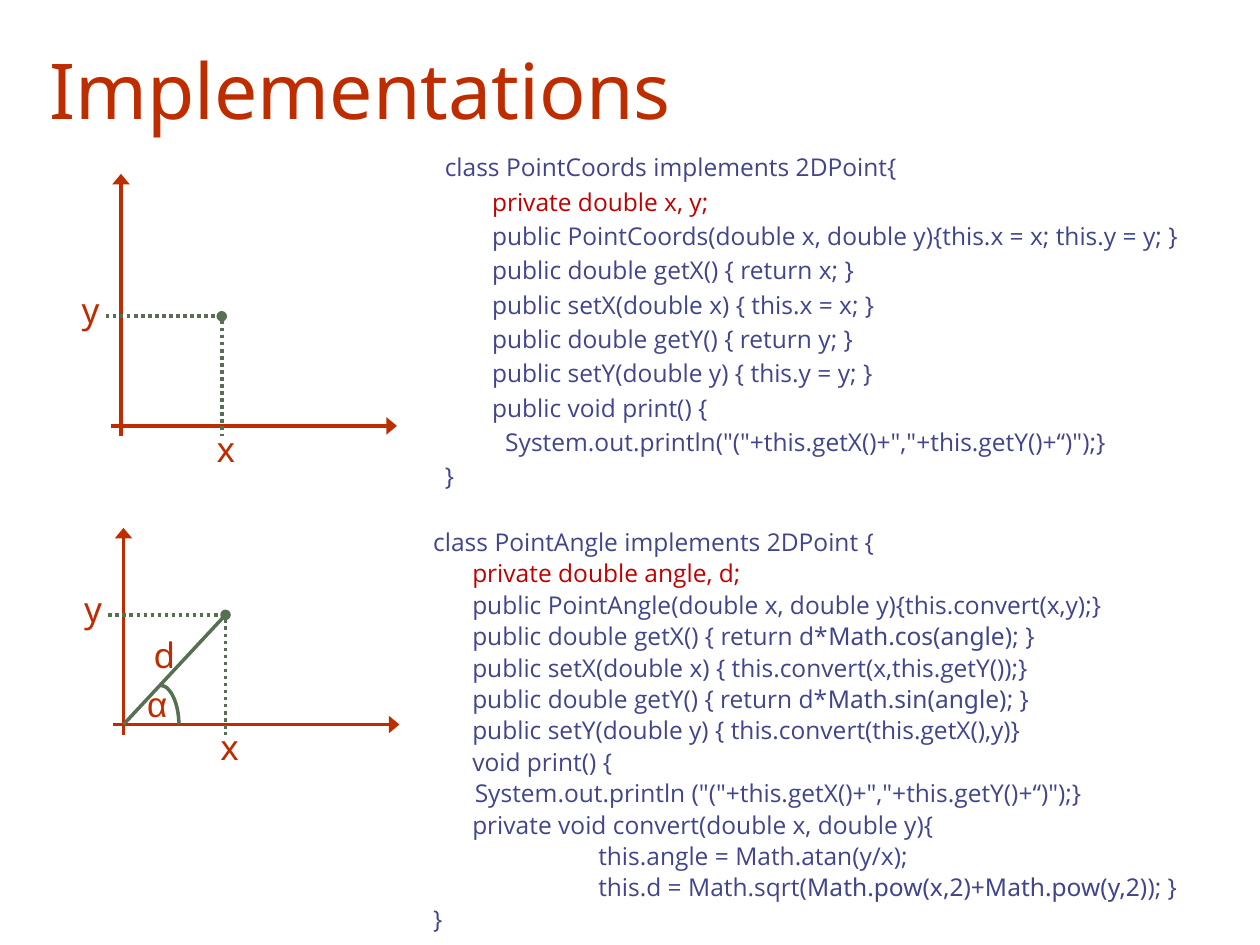
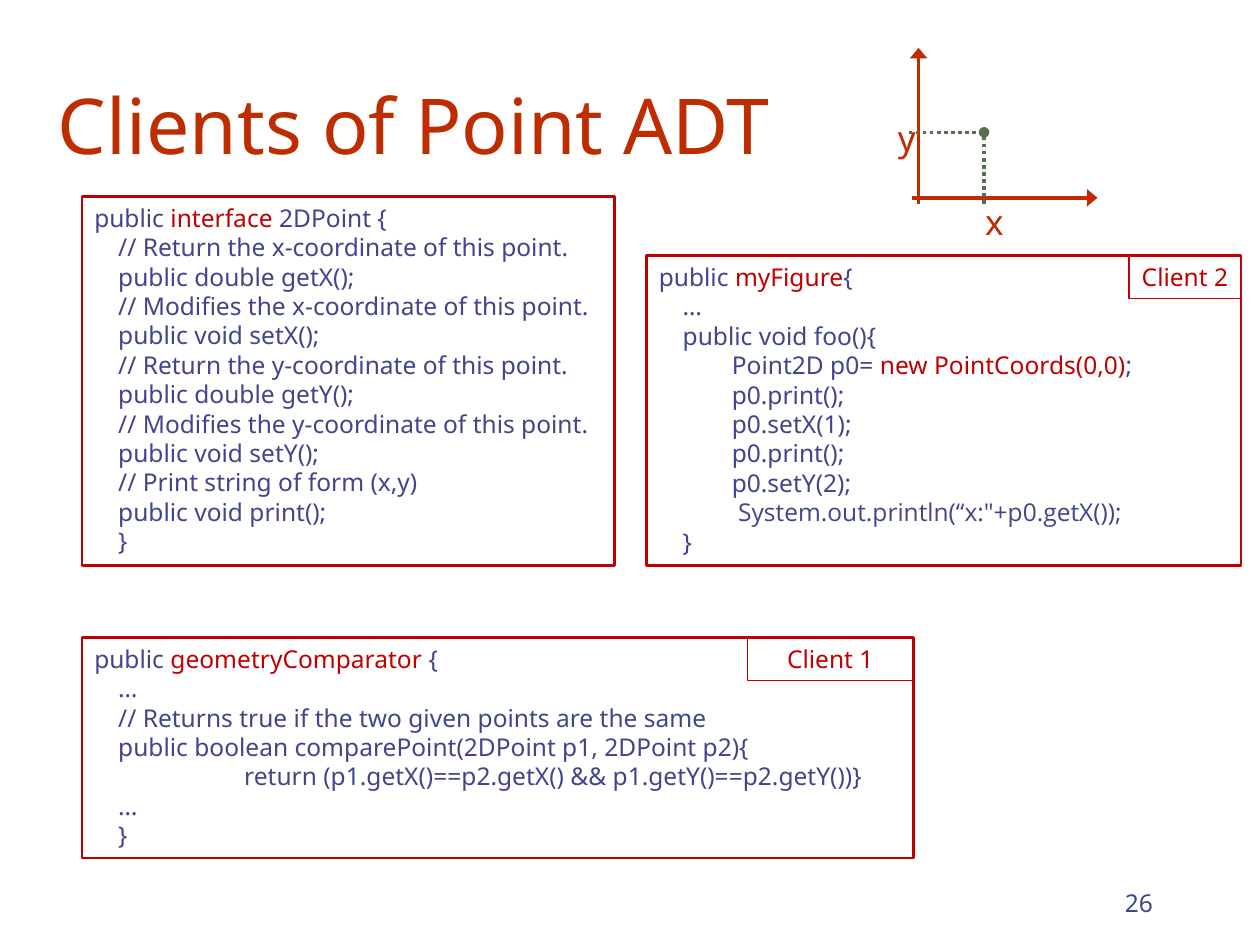
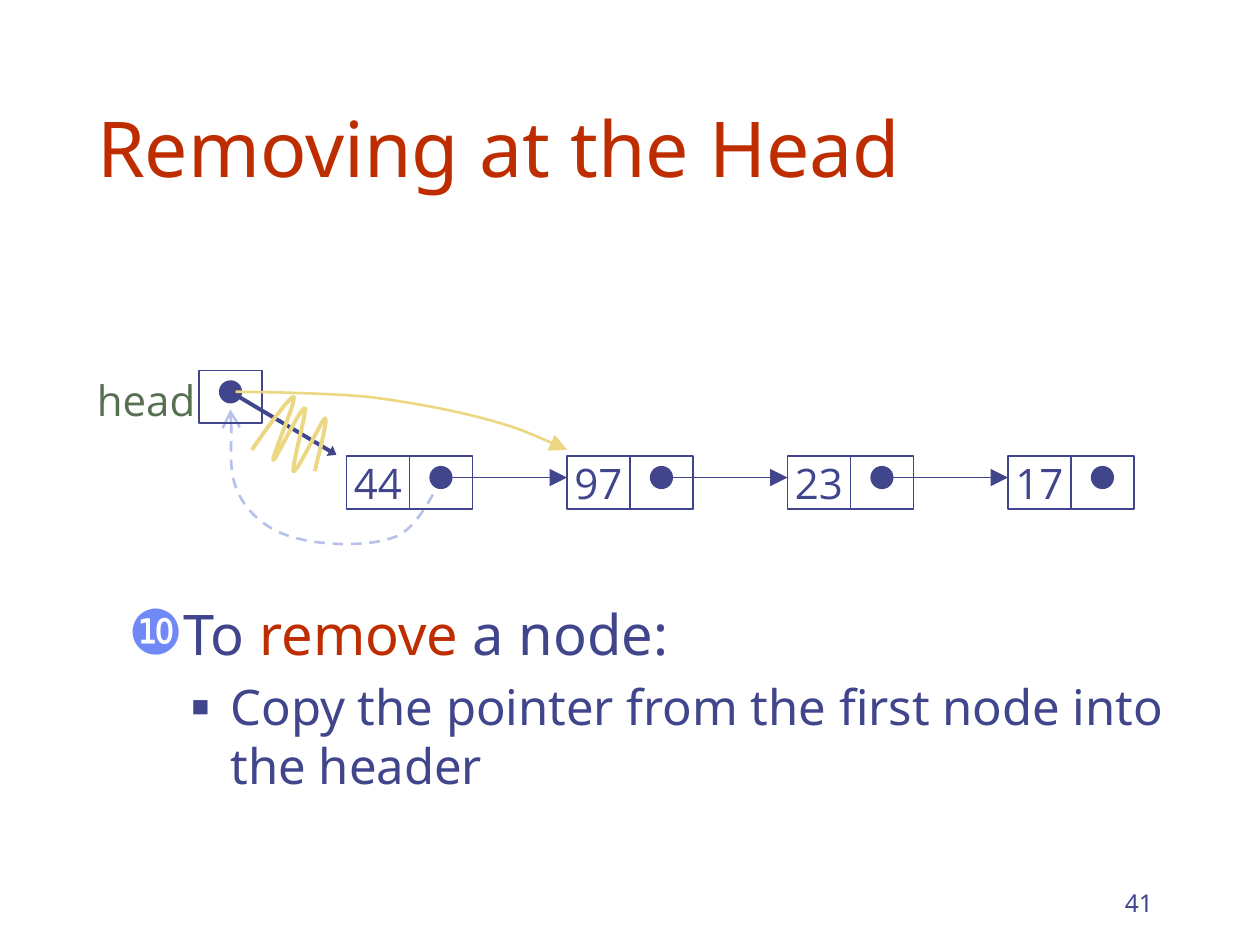
from dataclasses import dataclass

from pptx import Presentation
from pptx.dml.color import RGBColor
from pptx.enum import dml, shapes, text
from pptx.oxml import ns, xmlchemy
from pptx import util as u


@dataclass(frozen=True)
class Theme:
    title: str = "BE2D00"
    ink: str = "40458C"
    accent: str = "C00000"
    green: str = "577052"
    bullet: str = "6F89F7"
    pale: str = "B7C1EB"
    yellow: str = "ECD882"
    font: str = "Noto Sans"
    code_font: str = "Open Sans"
    symbol_font: str = "Arial"
    title_size: int = 44
    list_size: int = 32
    sublist_size: int = 28
    node_size: int = 24
    label_size: int = 20
    code_size: int = 14
    thin: float = 0.75
    fine: float = 1
    medium: float = 1.5
    thick: float = 2
    bold: float = 2.25


THEME = Theme()
COLUMNS, ROWS = 10, 7.5
WIDTH, HEIGHT = u.Inches(10), u.Inches(7.5)
LEFT, CENTER, RIGHT = text.PP_ALIGN.LEFT, text.PP_ALIGN.CENTER, text.PP_ALIGN.RIGHT
TOP, MIDDLE, BOTTOM = (
    text.MSO_ANCHOR.TOP, text.MSO_ANCHOR.MIDDLE, text.MSO_ANCHOR.BOTTOM)
DOTTED, DASHED = dml.MSO_LINE.ROUND_DOT, dml.MSO_LINE.DASH
RECTANGLE, OVAL = shapes.MSO_SHAPE.RECTANGLE, shapes.MSO_SHAPE.OVAL
WIDE_ARROW = {"type": "triangle", "w": "lg", "len": "med"}
LARGE_ARROW = {"type": "triangle", "w": "lg", "len": "lg"}
SHORT_ARROW = {"type": "triangle", "w": "med", "len": "sm"}
OPEN_ARROW = {"type": "arrow", "w": "lg", "len": "lg"}
DOT = {"type": "oval"}


def across(columns):
    return u.Emu(round(columns * WIDTH / COLUMNS))


def down(rows):
    return u.Emu(round(rows * HEIGHT / ROWS))


def frame(box):
    left, top, width, height = box
    return across(left), down(top), across(width), down(height)


def rgb(color):
    return RGBColor.from_string(color)


def accent(words):
    return words, {"color": THEME.accent}


def noto(words):
    return words, {"font": THEME.font}


def add_element(parent, tag, **attributes):
    element = xmlchemy.OxmlElement(tag)
    for name, value in attributes.items():
        element.set(name, str(value))
    parent.append(element)
    return element


def write(shape, lines, *, font=THEME.font, size=THEME.code_size, color=THEME.ink,
          align=LEFT, anchor=TOP, margins=(0.1, 0.05), before=0, spacing=None):
    """Each line is a left indent followed by its runs."""
    text_frame = shape.text_frame
    text_frame.auto_size = text.MSO_AUTO_SIZE.NONE
    text_frame.word_wrap = True
    text_frame.vertical_anchor = anchor
    text_frame.margin_left = text_frame.margin_right = u.Inches(margins[0])
    text_frame.margin_top = text_frame.margin_bottom = u.Inches(margins[1])
    for number, (indent, *runs) in enumerate(lines):
        paragraph = text_frame.add_paragraph() if number else text_frame.paragraphs[0]
        paragraph.alignment = align
        paragraph.space_before = u.Pt(before if number else 0)
        if spacing:
            paragraph.line_spacing = spacing
        properties = paragraph._p.get_or_add_pPr()
        properties.set("marL", str(across(indent)))
        properties.set("indent", "0")
        for piece in runs:
            words, change = piece if isinstance(piece, tuple) else (piece, {})
            run = paragraph.add_run()
            run.text = words
            run.font.name = change.get("font", font)
            run.font.size = u.Pt(change.get("size", size))
            run.font.color.rgb = rgb(change.get("color", color))
    return text_frame.paragraphs


def add_bullet(paragraph, character=None, color=THEME.ink, percent=100,
               left=0.0, hanging=0.0):
    properties = paragraph._p.get_or_add_pPr()
    if character is None:
        add_element(properties, "a:buNone")
        return
    properties.set("marL", str(across(left)))
    properties.set("indent", str(-across(hanging)))
    add_element(add_element(properties, "a:buClr"), "a:srgbClr", val=color)
    add_element(properties, "a:buSzPct", val=percent * 1000)
    add_element(properties, "a:buChar", char=character)


def add_text(slide, box, words, **options):
    write(slide.shapes.add_textbox(*frame(box)), [(0, words)], **options)


def add_title(slide, words, left, top):
    title = slide.shapes.title
    title.left, title.top, title.width, title.height = frame((left, top, 8.5, 1.25))
    write(title, [(0, words)], size=THEME.title_size, color=THEME.title, anchor=BOTTOM)


def add_body(slide, box, lines, **options):
    body = slide.placeholders[1]
    body.left, body.top, body.width, body.height = frame(box)
    return write(body, lines, **options)


def add_page_number(slide, number):
    add_text(slide, (7.17, 6.83, 2.08, 0.5), number, align=RIGHT, anchor=BOTTOM)


def draw_line(shape, color, weight, dash=None, head=None, tail=None):
    shape.line.color.rgb = rgb(color)
    shape.line.width = u.Pt(weight)
    if dash:
        shape.line.dash_style = dash
    outline = shape._element.spPr.find(ns.qn("a:ln"))
    for tag, arrow in (("a:headEnd", head), ("a:tailEnd", tail)):
        if arrow:
            add_element(outline, tag, **arrow)


def add_line(slide, start, end, color, weight, **style):
    connector = slide.shapes.add_connector(
        shapes.MSO_CONNECTOR.STRAIGHT,
        across(start[0]), down(start[1]), across(end[0]), down(end[1]))
    draw_line(connector, color, weight, **style)
    add_element(connector._element.spPr, "a:effectLst")


def add_shape(slide, kind, box, color, weight, fill=None):
    shape = slide.shapes.add_shape(kind, *frame(box))
    shape.shadow.inherit = False
    if fill:
        shape.fill.solid()
        shape.fill.fore_color.rgb = rgb(fill)
    else:
        shape.fill.background()
    draw_line(shape, color, weight)
    return shape


def bend(curve):
    outline = next(curve._element.iter(ns.qn("a:path")))
    segments = outline.findall(ns.qn("a:lnTo"))
    for first in range(0, len(segments), 3):
        cubic = add_element(outline, "a:cubicBezTo")
        for segment in segments[first:first + 3]:
            cubic.append(segment[0])
            outline.remove(segment)


def add_curve(slide, points, color, weight, **style):
    start, *controls = [(across(x), down(y)) for x, y in points]
    builder = slide.shapes.build_freeform(*start)
    builder.add_line_segments(controls, close=False)
    curve = builder.convert_to_shape()
    bend(curve)
    curve.shadow.inherit = False
    curve.fill.background()
    draw_line(curve, color, weight, **style)


def add_label(slide, left, top, words, font=THEME.font, width=0.35, height=0.43):
    add_text(slide, (left, top, width, height), words, font=font,
             size=THEME.label_size, color=THEME.title)


def add_plot(slide, origin, x_end, y_end, point, scale=1.0):
    (x0, y0), (x, y) = origin, point
    stub = 0.08 * scale
    axis = {"color": THEME.title, "weight": THEME.thick, "tail": WIDE_ARROW}
    guide = {"color": THEME.green, "weight": THEME.thick, "dash": DOTTED}
    label = {"width": 0.35 * scale, "height": 0.43 * scale}
    add_line(slide, (x0 - stub, y0), (x_end, y0), **axis)
    add_line(slide, (x0, y0 + stub), (x0, y_end), **axis)
    add_label(slide, x - 0.14 * scale, y0 - 0.04 * scale, "x", **label)
    add_label(slide, x0 - 0.41 * scale, y - 0.27 * scale, "y", **label)
    add_line(slide, (x0 - 0.12 * scale, y), point, **guide)
    add_line(slide, point, (x, y0 + stub), head=DOT, **guide)


def add_code_box(slide, box, lines, tag=None, tag_width=0.0):
    shape = add_shape(slide, RECTANGLE, box, THEME.accent, THEME.medium)
    write(shape, lines)
    if tag:
        left, top, width, _ = box
        tag_box = (left + width - tag_width, top, tag_width, 0.34)
        label = add_shape(slide, RECTANGLE, tag_box, THEME.accent, THEME.thin)
        write(label, [(0, tag)], color=THEME.accent, align=CENTER)


def add_pointer_cell(slide, left, top):
    width, height, dot = 0.5, 0.42, 0.17
    x, y = left + width / 2, top + height / 2 - 0.04
    add_shape(slide, RECTANGLE, (left, top, width, height), THEME.ink, THEME.fine)
    add_shape(slide, OVAL, (x - dot / 2, y - dot / 2, dot, dot),
              THEME.ink, THEME.fine, fill=THEME.ink)
    return x, y


def implementations(slide):
    add_title(slide, "Implementations", 0.29, -0.13)
    code = {"font": THEME.code_font, "before": 0.2 * THEME.code_size}
    member = 0.375
    paragraphs = add_body(slide, (3.43, 1.16, 6.46, 2.89), [
        (0, "class PointCoords implements 2DPoint{"),
        (member, accent("private double x, y;")),
        (member, "public PointCoords(double x, double y){this.x = x; this.y = y; }"),
        (member, "public double getX() { return x; }"),
        (member, "public setX(double x) { this.x = x; }"),
        (member, "public double getY() { return y; }"),
        (member, "public setY(double y) { this.y = y; }"),
        (member, "public void print() {"),
        (0.48, "System.out.println(\"(\"+this.getX()+\",\"+this.getY()+“)\");}"),
        (0, "}"),
    ], **code)
    for paragraph in paragraphs:
        add_bullet(paragraph)

    add_plot(slide, (0.96, 3.38), 3.15, 1.38, (1.76, 2.51))
    origin, point = (0.98, 5.75), (1.79, 4.88)
    add_plot(slide, origin, 3.17, 4.19, point)
    add_line(slide, origin, point, THEME.green, THEME.thick)
    add_curve(slide, [(1.28, 5.44), (1.35, 5.44), (1.42, 5.58), (1.42, 5.75)],
              THEME.green, THEME.thick)
    add_label(slide, 1.07, 5.37, "α", font=THEME.symbol_font, width=0.38)
    add_label(slide, 1.12, 4.98, "d")

    outer, member, inner = 0.5, 0.81, 1.81
    write(slide.shapes.add_textbox(*frame((2.84, 4.16, 7.16, 3.3))), [
        (outer, "class PointAngle implements 2DPoint {"),
        (member, accent("private double angle, d;")),
        (member, "public PointAngle(double x, double y){this.convert(x,y);}"),
        (member, "public double getX() { return d*", noto("Math.cos(angle)"), "; }"),
        (member, "public setX(double x) { this.convert(x,this.getY());}"),
        (member, "public double getY() { return d*", noto("Math.sin(angle)"), "; }"),
        (member, "public setY(double y) { this.convert(this.getX(),y)}"),
        (member, "void print() {"),
        (0.83, "System.out.println (\"(\"+this.getX()+\",\"+this.getY()+“)\");}"),
        (member, "private void convert(double x, double y){"),
        (inner, "this.angle = Math.atan(y/x);"),
        (inner, "this.d = Math.sqrt(", noto("Math.pow(x,2)+Math.pow(y,2)"), "); }"),
        (outer, "}"),
    ], spacing=0.9, **code)


def clients(slide):
    add_page_number(slide, "26")
    add_title(slide, "Clients of Point ADT", 0.36, 0.15)
    add_plot(slide, (7.29, 1.57), 8.71, 0.38, (7.81, 1.05), scale=0.64)
    member, inner = 0.19, 0.58
    add_code_box(slide, (0.65, 1.56, 4.23, 2.93), [
        (0, "public ", accent("interface"), " 2DPoint {"),
        (member, "// Return the x-coordinate of this point."),
        (member, "public double getX();"),
        (member, "// Modifies the x-coordinate of this point."),
        (member, "public void setX();"),
        (member, "// Return the y-coordinate of this point."),
        (member, "public double getY();"),
        (member, "// Modifies the y-coordinate of this point."),
        (member, "public void setY();"),
        (member, "// Print string of form (x,y)"),
        (member, "public void print();"),
        (member, "}"),
    ])
    add_code_box(slide, (0.65, 5.06, 6.6, 1.75), [
        (0, "public ", accent("geometryComparator"), " {"),
        (member, "…"),
        (member, "// Returns true if the two given points are the same"),
        (member, "public boolean comparePoint(2DPoint p1, 2DPoint p2){"),
        (1.19, "return (p1.getX()==p2.getX() && p1.getY()==p2.getY())}"),
        (member, "…"),
        (member, "}"),
    ], tag="Client 1", tag_width=1.32)
    add_code_box(slide, (5.13, 2.03, 4.72, 2.46), [
        (0, "public ", accent("myFigure"), "{"),
        (member, "…"),
        (member, "public void foo(){"),
        (inner, "Point2D p0= ", accent("new PointCoords(0,0)"), ";"),
        (inner, "p0.print();"),
        (inner, "p0.setX(1);"),
        (inner, "p0.print();"),
        (inner, "p0.setY(2);"),
        (0.63, ("System.out.println(“x:\"+p0.getX());", {"font": THEME.code_font})),
        (member, "}"),
    ], tag="Client 2", tag_width=0.89)


def removing(slide):
    add_page_number(slide, "41")
    add_title(slide, "Removing at the Head", 0.67, 0.33)
    first, second = add_body(slide, (0.92, 4.71, 8.5, 1.88), [
        (0, "To ", ("remove", {"color": THEME.title}), " a node:"),
        (0, ("Copy the pointer from the first node into the header",
             {"size": THEME.sublist_size})),
    ], size=THEME.list_size, before=0.2 * THEME.sublist_size)
    second.level = 1
    add_bullet(first, "❿", THEME.bullet, 110, left=0.38, hanging=0.38)
    add_bullet(second, "■", THEME.ink, 60, left=0.81, hanging=0.31)

    add_curve(slide, [
        (3.51, 3.8), (3.45, 3.88), (3.33, 4.18), (3.14, 4.26), (2.94, 4.34),
        (2.56, 4.33), (2.35, 4.27), (2.15, 4.22), (1.99, 4.1), (1.9, 3.93),
        (1.81, 3.76), (1.85, 3.39), (1.83, 3.25),
    ], THEME.pale, THEME.medium, dash=DASHED, tail=OPEN_ARROW)

    node_left, node_top, pitch, cell = 2.75, 3.62, 1.75, 0.5
    values = ("44", "97", "23", "17")
    for number, value in enumerate(values):
        left = node_left + number * pitch
        box = add_shape(slide, RECTANGLE, (left, node_top, cell, 0.42),
                        THEME.ink, THEME.fine)
        write(box, [(0, value)], font=THEME.code_font, size=THEME.node_size,
              align=CENTER, anchor=MIDDLE, margins=(0, 0))
        x, y = add_pointer_cell(slide, left + cell, node_top)
        if number < len(values) - 1:
            add_line(slide, (x, y), (left + pitch, y), THEME.ink, THEME.fine,
                     tail=LARGE_ARROW)

    head = add_pointer_cell(slide, 1.58, 2.94)
    add_line(slide, head, (2.67, 3.61), THEME.ink, THEME.bold, tail=SHORT_ARROW)
    add_text(slide, (0.67, 2.92, 1.08, 0.5), "head", font=THEME.code_font,
             size=THEME.node_size, color=THEME.green)
    add_curve(slide, [
        (1.87, 3.11), (2.05, 3.11), (2.59, 3.12), (2.92, 3.15), (3.24, 3.19),
        (3.57, 3.25), (3.83, 3.32), (4.1, 3.39), (4.3, 3.48), (4.5, 3.57),
    ], THEME.yellow, THEME.medium, tail=LARGE_ARROW)
    add_curve(slide, [
        (2, 3.57), (2.15, 3.35), (2.31, 3.14), (2.33, 3.15), (2.36, 3.17),
        (2.15, 3.64), (2.17, 3.65), (2.18, 3.67), (2.39, 3.22), (2.42, 3.24),
        (2.44, 3.25), (2.31, 3.72), (2.33, 3.74), (2.36, 3.75), (2.56, 3.32),
        (2.58, 3.32), (2.61, 3.32), (2.51, 3.67), (2.5, 3.74),
    ], THEME.yellow, THEME.bold)


def main():
    presentation = Presentation()
    presentation.slide_width, presentation.slide_height = WIDTH, HEIGHT
    title_and_body, title_only = 1, 5
    for layout, build in ((title_and_body, implementations),
                          (title_only, clients),
                          (title_and_body, removing)):
        build(presentation.slides.add_slide(presentation.slide_layouts[layout]))
    presentation.save("out.pptx")


main()
